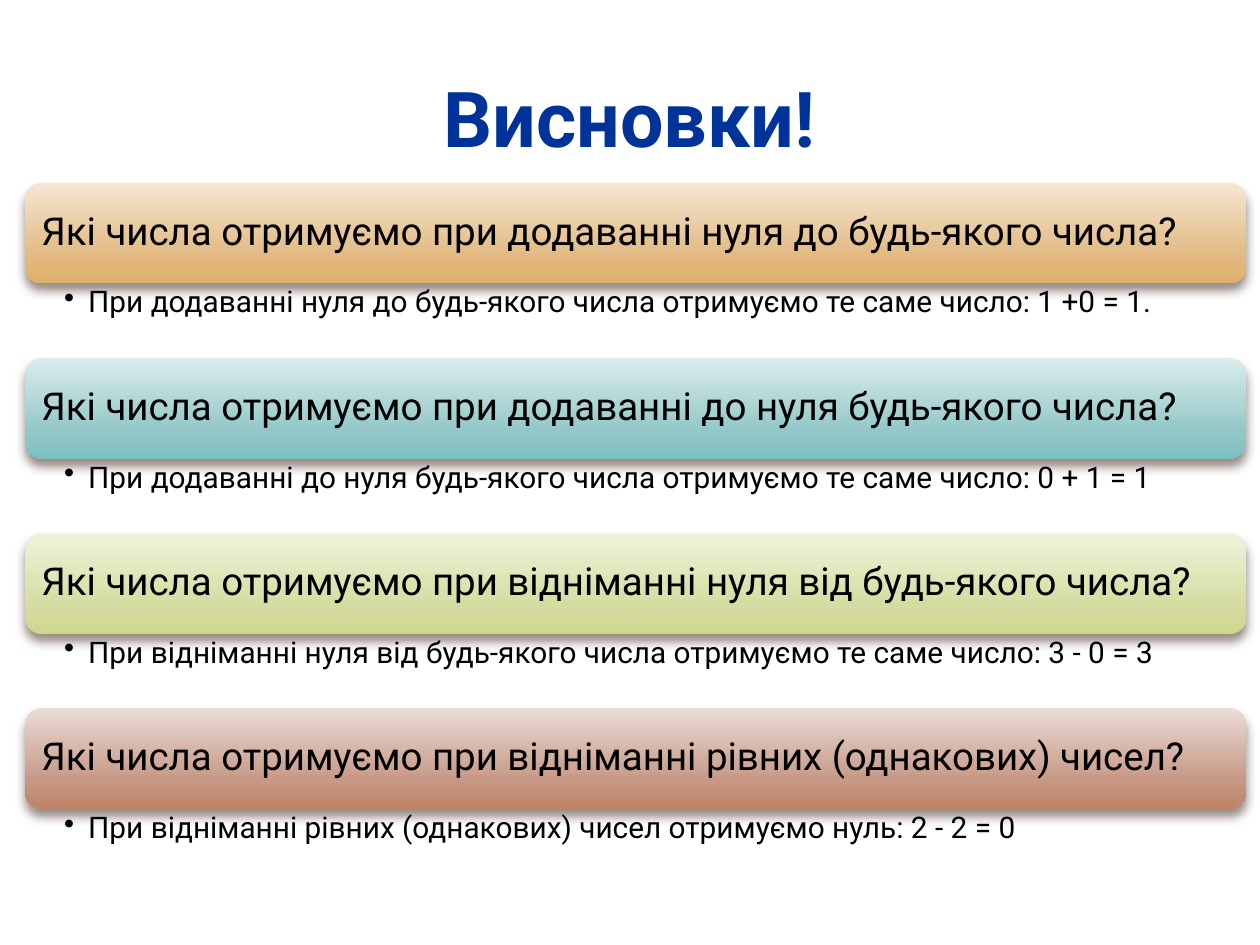
"""Build the conclusions slide about adding and subtracting zero."""
from copy import deepcopy

from lxml import etree
from pptx import Presentation
from pptx.dml.color import RGBColor
from pptx.enum import shapes, text
from pptx.oxml import ns
from pptx.util import Inches, Pt

COLORS = {
    "title": "00339A", "title_edge": "F2F2F2", "body": "000000", "shadow": "4E3B30",
    "orange": ("F5E7D4", "E2BA83", "E0AF68"),
    "teal": ("DAECEC", "94C8C8", "7DC0C0"),
    "green": ("F0F3DD", "D5DCA0", "CFD78E"),
    "brown": ("EBDCD7", "C69885", "BE8268"),
}
CONCLUSIONS = [
    ("orange", "Які числа отримуємо при додаванні нуля до будь-якого числа?",
     "При додаванні нуля до будь-якого числа отримуємо те саме число: 1 +0 = 1."),
    ("teal", "Які числа отримуємо при додаванні до нуля будь-якого числа?",
     "При додаванні до нуля будь-якого числа отримуємо те саме число: 0 + 1 = 1"),
    ("green", "Які числа отримуємо при відніманні нуля від будь-якого числа?",
     "При відніманні нуля від будь-якого числа отримуємо те саме число: 3 - 0 = 3"),
    ("brown", "Які числа отримуємо при відніманні рівних (однакових) чисел?",
     "При відніманні рівних (однакових) чисел отримуємо нуль: 2 - 2 = 0"),
]
LEFT, WIDTH, TOP, STEP = 0.2, 9.69, 1.45, 1.39
BAR_HEIGHT, ANSWER_HEIGHT = 0.8, 0.58


def add_xml(parent, tag, **attributes):
    child = etree.SubElement(parent, ns.qn(tag))
    for key, value in attributes.items():
        child.set(key, str(value))
    return child


def write(frame, words, size, color="body", bold=False, align=text.PP_ALIGN.LEFT,
          anchor=text.MSO_ANCHOR.MIDDLE, insets=(0.1, 0.05, 0.1, 0.05),
          spacing=0.9, bullet=False):
    frame.word_wrap = True
    frame.auto_size = text.MSO_AUTO_SIZE.NONE
    frame.vertical_anchor = anchor
    (frame.margin_left, frame.margin_top,
     frame.margin_right, frame.margin_bottom) = map(Inches, insets)
    paragraph = frame.paragraphs[0]
    paragraph.alignment = align
    paragraph.line_spacing = spacing
    if bullet:
        properties = paragraph._p.get_or_add_pPr()
        properties.set("marL", str(Inches(0.19)))
        properties.set("indent", str(Inches(-0.19)))
        add_xml(properties, "a:buChar", char="•")
    run = paragraph.add_run()
    run.text = words
    run.font.name = "Roboto"
    run.font.size = Pt(size)
    run.font.bold = bold
    run.font.color.rgb = RGBColor.from_string(COLORS[color])
    return run


prs = Presentation()
prs.slide_width, prs.slide_height = Inches(10), Inches(7.5)
slide = prs.slides.add_slide(prs.slide_layouts[5])

title = slide.shapes.title
title.left, title.top = Inches(0.5), Inches(0.3)
title.width, title.height = Inches(9), Inches(1.25)
title_run = write(title.text_frame, "Висновки!", 44, color="title", bold=True,
                  align=text.PP_ALIGN.CENTER, spacing=1.0)
run_properties = title_run.font._element
edge = add_xml(run_properties, "a:ln", w=Pt(0.15))
add_xml(add_xml(edge, "a:solidFill"), "a:srgbClr", val=COLORS["title_edge"])
run_properties.insert(0, edge)

for row, (hue, question, answer) in enumerate(CONCLUSIONS):
    top = TOP + row * STEP
    bar = slide.shapes.add_shape(shapes.MSO_SHAPE.ROUNDED_RECTANGLE, Inches(LEFT),
                                 Inches(top), Inches(WIDTH), Inches(BAR_HEIGHT))
    bar.line.fill.background()
    bar.fill.gradient()
    bar.fill.gradient_angle = 270
    stop_list = bar._element.spPr.find(".//" + ns.qn("a:gsLst"))
    stop_list.append(deepcopy(stop_list[-1]))
    for stop, position, color in zip(bar.fill.gradient_stops, (0, 0.72, 1), COLORS[hue]):
        stop.position = position
        stop.color.rgb = RGBColor.from_string(color)

    bar.shadow.inherit = False
    effects = bar._element.spPr.find(ns.qn("a:effectLst"))
    shadow = add_xml(effects, "a:outerShdw", blurRad=Pt(6), dist=Pt(4),
                     dir=5400000, rotWithShape=0)
    shadow_color = add_xml(shadow, "a:srgbClr", val=COLORS["shadow"])
    add_xml(shadow_color, "a:alpha", val=60000)
    write(bar.text_frame, question, 22, insets=(0.09, 0.09, 0.09, 0.09))

    answer_box = slide.shapes.add_textbox(Inches(LEFT), Inches(top + BAR_HEIGHT),
                                          Inches(WIDTH), Inches(ANSWER_HEIGHT))
    write(answer_box.text_frame, answer, 17, anchor=text.MSO_ANCHOR.TOP,
          insets=(0.31, 0.03, 0.17, 0.03), bullet=True)

prs.save("out.pptx")
